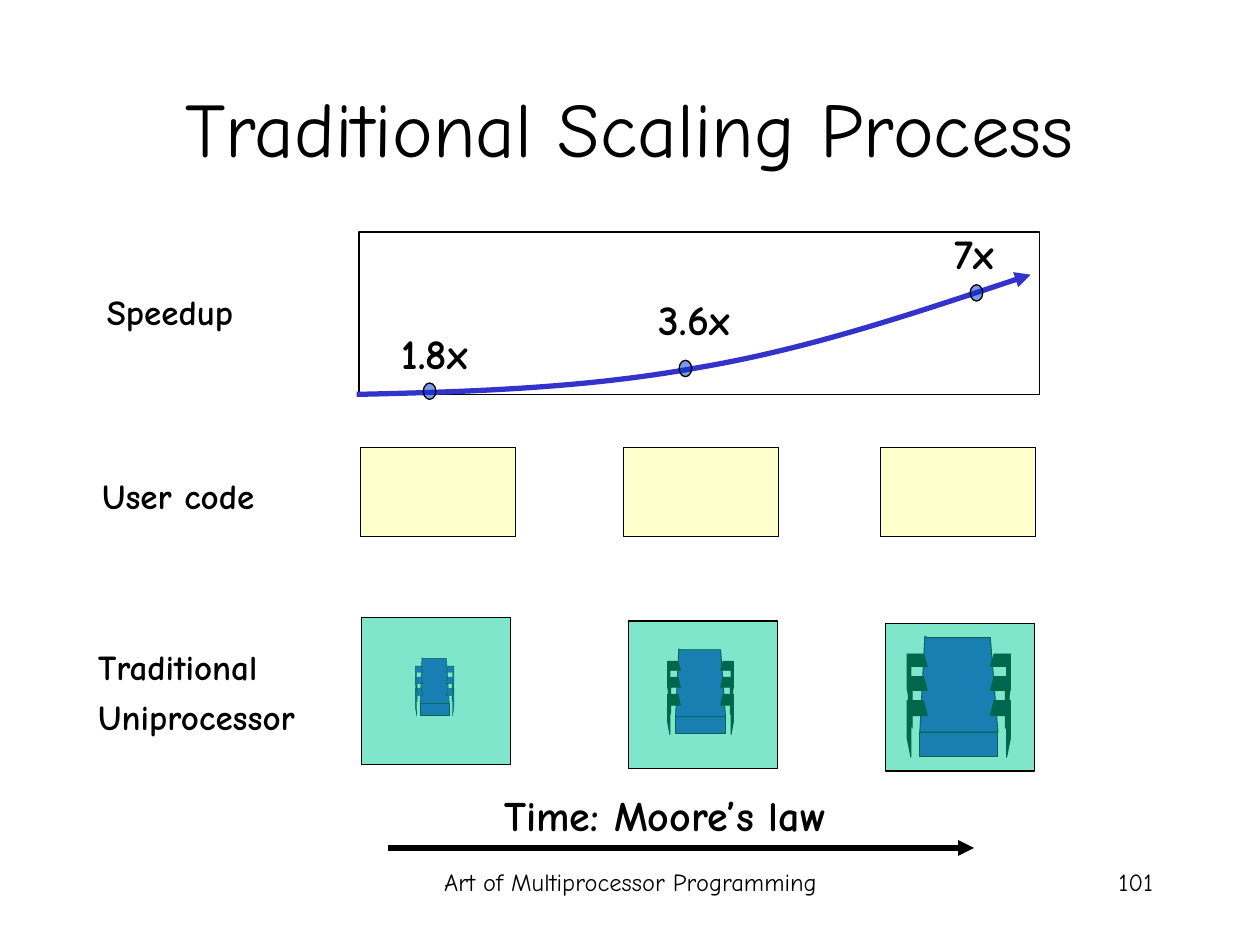
from lxml.etree import SubElement
from pptx import Presentation
from pptx.dml.color import RGBColor
from pptx.enum.shapes import MSO_CONNECTOR as Connector, MSO_SHAPE as Shape
from pptx.enum.text import MSO_ANCHOR as Anchor, MSO_AUTO_SIZE as AutoSize, PP_ALIGN as Align
from pptx.oxml.ns import qn
from pptx.util import Inches, Pt

color = RGBColor.from_string


def paint(shape, fill, line="000000", width=0.75, opacity=100):
    """Set fill, outline and opacity in percent; a fill of None leaves it open."""
    shape.shadow.inherit = False
    if fill:
        shape.fill.solid()
        shape.fill.fore_color.rgb = color(fill)
        if opacity < 100:
            tint = shape._element.spPr.find(qn("a:solidFill"))[0]
            SubElement(tint, qn("a:alpha"), val=str(opacity * 1000))
    else:
        shape.fill.background()
    shape.line.color.rgb = color(line)
    shape.line.width = Pt(width)


def write(box, lines, size, align=Align.CENTER, bold=False, wrap=True):
    frame = box.text_frame
    frame.word_wrap = wrap
    for index, line in enumerate(lines):
        para = frame.add_paragraph() if index else frame.paragraphs[0]
        para.alignment = align
        para.space_before = Pt(5 if index else 0)
        span = para.add_run()
        span.text = line
        span.font.name = "Comic Neue"
        span.font.size = Pt(size)
        span.font.bold = bold
        span.font.color.rgb = color("000000")


deck = Presentation()
deck.slide_width, deck.slide_height = Inches(10), Inches(7.5)
page = deck.slides.add_slide(deck.slide_layouts[5])
shapes = page.shapes

title = shapes.title
title.left, title.top = Inches(0.75), Inches(0.38)
title.width, title.height = Inches(8.5), Inches(1.25)
title.text_frame.vertical_anchor = Anchor.MIDDLE
write(title, ["Traditional Scaling Process"], 44)

# Footer
for left, width, words, align in [
    (3.42, 3.17, "Art of Multiprocessor Programming", Align.CENTER),
    (7.17, 2.08, "101", Align.RIGHT),
]:
    box = shapes.add_textbox(Inches(left), Inches(6.83), Inches(width), Inches(0.5))
    write(box, [words], 14, align)

# User code boxes
for left in (2.86, 4.95, 6.99):
    code = shapes.add_shape(
        Shape.RECTANGLE, Inches(left), Inches(3.55), Inches(1.23), Inches(0.71))
    paint(code, "FFFFCC")

# Speedup plot: panel, curve and points
panel = shapes.add_shape(
    Shape.RECTANGLE, Inches(2.85), Inches(1.84), Inches(5.4), Inches(1.29))
paint(panel, "FFFFFF", opacity=50)

builder = shapes.build_freeform(Inches(2.83), Inches(3.13))
controls = [(3.74, 3.11), (4.64, 3.08), (5.53, 2.92),
            (6.42, 2.77), (7.3, 2.47), (8.18, 2.18)]
builder.add_line_segments([(Inches(x), Inches(y)) for x, y in controls], close=False)
curve = builder.convert_to_shape()
paint(curve, None, "3333CC", 3)
# Turn each three straight segments into one cubic Bezier segment
segments = curve._element.xpath(".//a:lnTo")
for first in range(0, len(segments), 3):
    bezier = SubElement(segments[first].getparent(), qn("a:cubicBezTo"))
    for segment in segments[first:first + 3]:
        bezier.append(segment[0])
        segment.getparent().remove(segment)

for left, top in [(3.36, 3.04), (5.39, 2.86), (7.7, 2.26)]:
    point = shapes.add_shape(
        Shape.OVAL, Inches(left), Inches(top), Inches(0.1), Inches(0.13))
    paint(point, "0033CC", opacity=50)

# Labels
for left, top, width, height, lines, size in [
    (0.73, 2.26, 1.24, 0.44, ["Speedup"], 20),
    (0.69, 3.72, 1.45, 0.44, ["User code"], 20),
    (0.68, 5.07, 2.01, 0.84, ["Traditional", "Uniprocessor"], 20),
    (3.07, 2.55, 0.76, 0.5, ["1.8x"], 24),
    (5.11, 2.28, 0.8, 0.5, ["3.6x"], 24),
    (7.46, 1.76, 0.55, 0.5, ["7x"], 24),
    (3.88, 6.22, 2.8, 0.5, ["Time: Moore’s law"], 24),
]:
    box = shapes.add_textbox(Inches(left), Inches(top), Inches(width), Inches(height))
    several = len(lines) > 1
    write(box, lines, size, Align.LEFT if several else Align.CENTER, True, several)
    box.text_frame.auto_size = AutoSize.SHAPE_TO_FIT_TEXT

# Time axis
axis = shapes.add_connector(
    Connector.STRAIGHT, Inches(3.08), Inches(6.73), Inches(7.73), Inches(6.73))
axis.line.color.rgb = color("000000")
axis.line.width = Pt(3)
SubElement(axis._element.spPr, qn("a:effectLst"))
for arrow in (curve, axis):
    SubElement(arrow._element.spPr.find(qn("a:ln")), qn("a:tailEnd"), type="triangle")

# Processors: outlines around the centre line, at the size of the largest one
body = [(-0.25, 0.01), (0.25, 0.01), (0.31, 0.76), (-0.31, 0.76), (-0.27, 0)]
# Each leg: top, outer edge, tip edge, outer depth, tip depth, thickness
legs = [(0.51, 0.41, 0.38, 0.3, 0.45, 0.12),
        (0.32, 0.4, 0.37, 0.28, 0.41, 0.11),
        (0.14, 0.41, 0.38, 0.28, 0.41, 0.1)]
outlines = [body]
for side in (1, -1):
    for top, outer, tip, depth, reach, thick in legs:
        leg = [(0.28, 0), (outer, 0), (outer, depth),
               (tip, reach), (tip, thick), (0.25, thick)]
        outlines.append([(side * x, top + y) for x, y in leg])

for center, top, width, height, leg_fill, line_width in [
    (3.45, 5.22, 0.31, 0.46, "3333CC", 0.25),
    (5.56, 5.15, 0.53, 0.68, "000000", 0.5),
    (7.61, 5.05, 0.83, 0.96, "000000", 0.5),
]:
    scale_x, scale_y = width / 0.83, height / 0.96
    chip = shapes.add_group_shape()
    base = chip.shapes.add_shape(
        Shape.RECTANGLE, Inches(center - 0.31 * scale_x), Inches(top + 0.76 * scale_y),
        Inches(0.62 * scale_x), Inches(0.19 * scale_y))
    paint(base, "3333CC", width=line_width)
    for outline in outlines:
        corners = [(Inches(center + x * scale_x), Inches(top + y * scale_y))
                   for x, y in outline]
        builder = chip.shapes.build_freeform(*corners[0])
        builder.add_line_segments(corners[1:])
        part = builder.convert_to_shape()
        paint(part, "3333CC" if outline is body else leg_fill, width=line_width)

# Translucent tiles over the processors
for left, top in [(2.87, 4.9), (4.99, 4.93), (7.03, 4.95)]:
    tile = shapes.add_shape(
        Shape.RECTANGLE, Inches(left), Inches(top), Inches(1.18), Inches(1.17))
    paint(tile, "00CC99", opacity=50)

deck.save("out.pptx")
